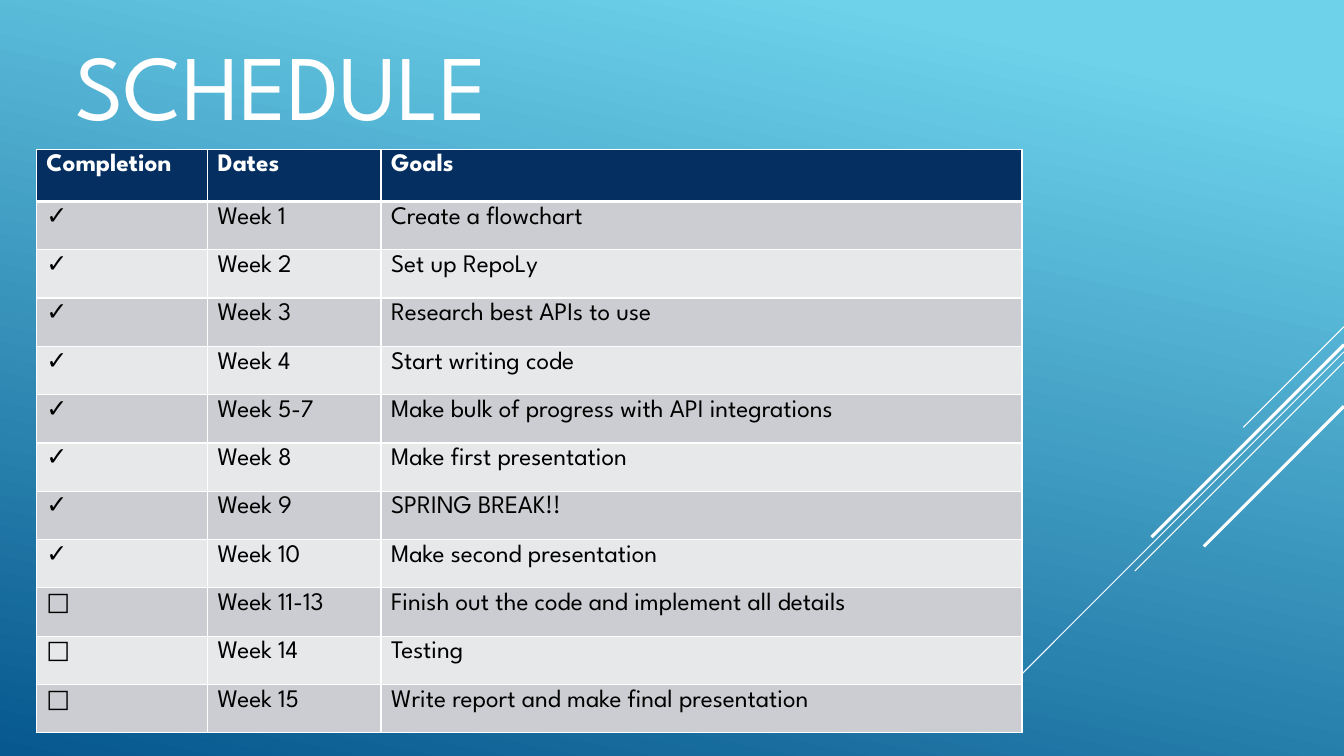
from typing import Any, NamedTuple

from lxml import etree
from pptx import Presentation
from pptx import util as u
from pptx.dml.color import RGBColor
from pptx.enum import shapes, text
from pptx.oxml import ns

WHITE = RGBColor(0xFF, 0xFF, 0xFF)
BLACK = RGBColor(0, 0, 0)
NAVY = RGBColor(0x05, 0x2F, 0x61)
GREY = RGBColor(0xCC, 0xCD, 0xD2)
PALE = RGBColor(0xE7, 0xE8, 0xEA)
SKY = RGBColor(0x6E, 0xD2, 0xEB)
DEEP = RGBColor(0x06, 0x58, 0x8E)

FONT = "League Spartan"
WIDE, HIGH = 960, 540
HEAD_HIGH, ROW_HIGH = 37.3, 34.5
COLS = (122.4, 123.8, 457.9)


class Ray(NamedTuple):
    """A 45-degree line running down and left from the right edge."""
    top: float
    reach: float
    weight: float


class Goal(NamedTuple):
    mark: str
    dates: str
    goal: str


RAYS = (
    Ray(233.3, 72, 0.75),
    Ray(251.3, 234.7, 0.75),
    Ray(258.5, 149.4, 0.75),
    Ray(246.2, 137.5, 2.25),
    Ray(290.2, 100.1, 2.25),
)

ROWS = (
    Goal("Completion", "Dates", "Goals"),
    Goal("✓", "Week 1", "Create a flowchart"),
    Goal("✓", "Week 2", "Set up RepoLy"),
    Goal("✓", "Week 3", "Research best APIs to use"),
    Goal("✓", "Week 4", "Start writing code"),
    Goal("✓", "Week 5-7", "Make bulk of progress with API integrations"),
    Goal("✓", "Week 8", "Make first presentation"),
    Goal("✓", "Week 9", "SPRING BREAK!!"),
    Goal("✓", "Week 10", "Make second presentation"),
    Goal("□", "Week 11-13", "Finish out the code and implement all details"),
    Goal("□", "Week 14", "Testing"),
    Goal("□", "Week 15", "Write report and make final presentation"),
)


def write(frame: Any, words: str, size: float, color: RGBColor, bold: bool = False) -> None:
    run = frame.paragraphs[0].add_run()
    run.text = words
    style = {"name": FONT, "size": u.Pt(size), "bold": bold}
    for key, value in style.items():
        setattr(run.font, key, value)
    run.font.color.rgb = color


def paint_back(slide: Any) -> None:
    fill = slide.background.fill
    fill.gradient()
    fill.gradient_angle = 258
    for stop, (place, color) in zip(fill.gradient_stops, ((0.1, SKY), (1, DEEP))):
        stop.position = place
        stop.color.rgb = color


def draw_ray(slide: Any, ray: Ray) -> None:
    line = slide.shapes.add_connector(
        shapes.MSO_CONNECTOR.STRAIGHT, u.Pt(WIDE), u.Pt(ray.top),
        u.Pt(WIDE - ray.reach), u.Pt(ray.top + ray.reach))
    line.line.color.rgb = WHITE
    line.line.width = u.Pt(ray.weight)
    etree.SubElement(line._element.spPr, ns.qn("a:effectLst"))


def draw_title(slide: Any) -> None:
    box = slide.shapes.add_textbox(u.Pt(46.8), u.Pt(0), u.Pt(671.8), u.Pt(118.8))
    frame = box.text_frame
    style = {"word_wrap": True, "vertical_anchor": text.MSO_ANCHOR.MIDDLE}
    for key, value in style.items():
        setattr(frame, key, value)
    write(frame, "SCHEDULE", 66, WHITE)


def edge_cell(cell: Any, top: float, base: float) -> None:
    """Give a cell white borders, with its own top and base weights."""
    props = cell._tc.get_or_add_tcPr()
    for side, weight in {"L": 1, "R": 1, "T": top, "B": base}.items():
        edge = etree.SubElement(props, ns.qn(f"a:ln{side}"), w=str(u.Pt(weight)))
        solid = etree.SubElement(edge, ns.qn("a:solidFill"))
        etree.SubElement(solid, ns.qn("a:srgbClr"), val=str(WHITE))


def draw_table(slide: Any) -> None:
    high = HEAD_HIGH + ROW_HIGH * (len(ROWS) - 1)
    table = slide.shapes.add_table(
        len(ROWS), len(COLS), u.Pt(25.9), u.Pt(106.6), u.Pt(sum(COLS)), u.Pt(high)).table
    for flag in ("first_row", "horz_banding"):
        setattr(table, flag, False)
    for col, width in zip(table.columns, COLS):
        col.width = u.Pt(width)
    for i, goal in enumerate(ROWS):
        head = i == 0
        table.rows[i].height = u.Pt(HEAD_HIGH if head else ROW_HIGH)
        shade = NAVY if head else GREY if i % 2 else PALE
        for j, words in enumerate(goal):
            cell = table.cell(i, j)
            edge_cell(cell, 3 if i == 1 else 1, 3 if head else 1)
            cell.fill.solid()
            cell.fill.fore_color.rgb = shade
            write(cell.text_frame, words, 18, WHITE if head else BLACK, head)


def main() -> None:
    deck = Presentation()
    deck.slide_width, deck.slide_height = u.Pt(WIDE), u.Pt(HIGH)
    slide = deck.slides.add_slide(deck.slide_layouts[6])
    paint_back(slide)
    for ray in RAYS:
        draw_ray(slide, ray)
    draw_title(slide)
    draw_table(slide)
    deck.save("out.pptx")


if __name__ == "__main__":
    main()
